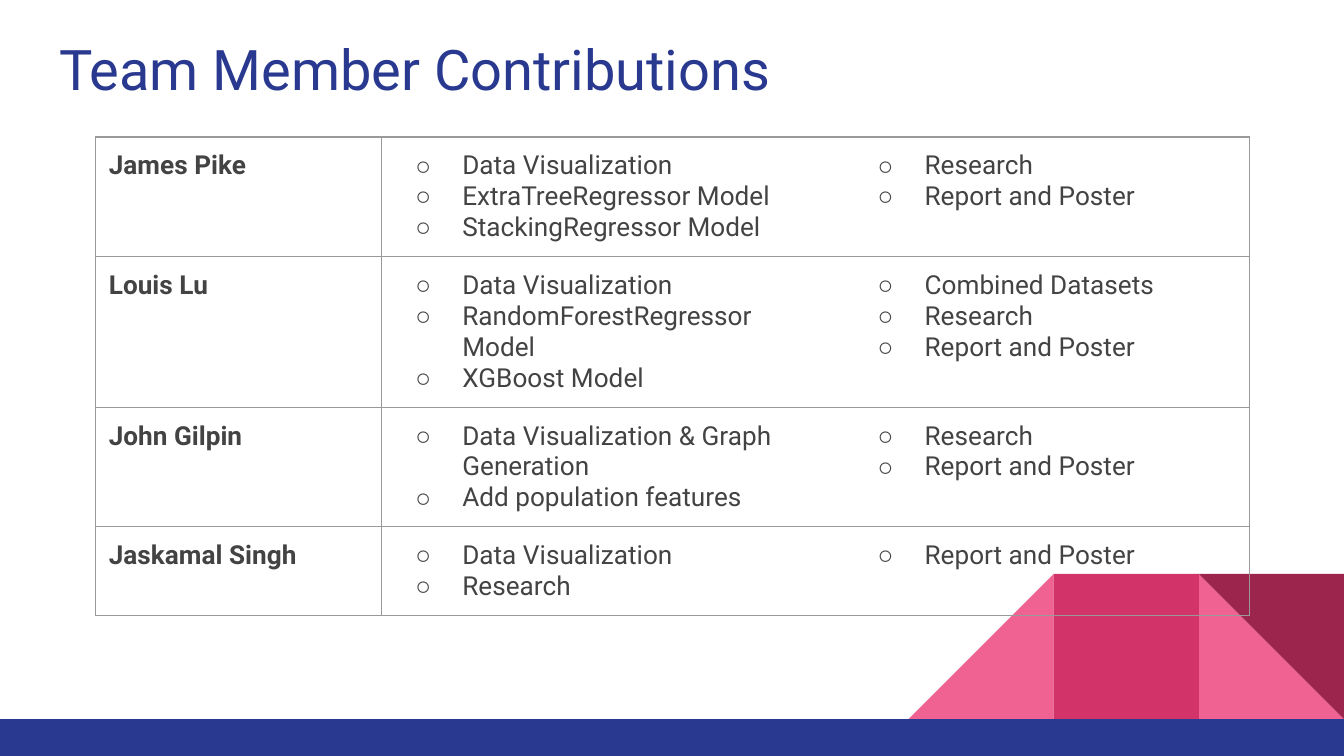
import lxml.etree
import pptx
import pptx.dml.color
import pptx.enum.shapes
import pptx.enum.text
import pptx.oxml
import pptx.oxml.ns
import pptx.util

Inches = pptx.util.Inches
SHAPES = pptx.enum.shapes.MSO_SHAPE
FONT, BULLET_FONT = "Roboto", "Arial"
NAVY, TEXT, BORDER = "2A3990", "434343", "999999"

TITLE_FORMAT = {"name": FONT, "size": pptx.util.Pt(30), "bold": False}
CELL_FORMAT = {"name": FONT, "size": pptx.util.Pt(14), "bold": False}
NAME_FORMAT = {**CELL_FORMAT, "bold": True}
INSETS = {f"margin_{side}": Inches(0.1) for side in ("left", "right", "top", "bottom")}

COLUMN_WIDTHS = [2.13, 3.44, 3.02]
# Minimum row height (rows grow with their text), member, modelling work, shared work
MEMBERS = [
    (0.42, "James Pike",
     ["Data Visualization", "ExtraTreeRegressor Model", "StackingRegressor Model"],
     ["Research", "Report and Poster"]),
    (0.78, "Louis Lu",
     ["Data Visualization", "RandomForestRegressor Model", "XGBoost Model"],
     ["Combined Datasets", "Research", "Report and Poster"]),
    (0.42, "John Gilpin",
     ["Data Visualization & Graph Generation", "Add population features"],
     ["Research", "Report and Poster"]),
    (0.42, "Jaskamal Singh",
     ["Data Visualization", "Research"],
     ["Report and Poster"]),
]
# Borders drawn on each column; the two list columns share no line
COLUMN_BORDERS = ["LRTB", "LTB", "RTB"]


def color(value):
    return pptx.dml.color.RGBColor.from_string(value)


def set_attributes(target, values):
    for name, value in values.items():
        setattr(target, name, value)


def add_run(paragraph, text, values, text_color):
    run = paragraph.add_run()
    run.text = text
    set_attributes(run.font, values)
    run.font.color.rgb = color(text_color)


def add_block(slide, kind, left, top, width, height, fill, rotation=0):
    shape = slide.shapes.add_shape(
        kind, Inches(left), Inches(top), Inches(width), Inches(height))
    shape.rotation = rotation
    shape.shadow.inherit = False
    shape.fill.solid()
    shape.fill.fore_color.rgb = color(fill)
    shape.line.fill.background()


def add_decoration(slide):
    side, top = 1.08, 4.27
    triangle, rectangle = SHAPES.RIGHT_TRIANGLE, SHAPES.RECTANGLE
    for kind, left, fill, rotation in [
        (triangle, 8.92, "F06292", 0),
        (triangle, 6.76, "F06292", 270),
        (rectangle, 7.84, "D23369", 0),
        (triangle, 8.92, "9C254D", 180),
    ]:
        add_block(slide, kind, left, top, side, side, fill, rotation)
    add_block(slide, rectangle, 0, 5.35, 10, 0.28, NAVY)


def add_title(slide, text):
    title = slide.shapes.title
    set_attributes(title, {"left": Inches(0.34), "top": Inches(0.16),
                           "width": Inches(9.32), "height": Inches(0.66)})
    frame = title.text_frame
    set_attributes(frame, {**INSETS, "word_wrap": True,
                           "auto_size": pptx.enum.text.MSO_AUTO_SIZE.NONE,
                           "vertical_anchor": pptx.enum.text.MSO_ANCHOR.TOP})
    frame.paragraphs[0].alignment = pptx.enum.text.PP_ALIGN.LEFT
    add_run(frame.paragraphs[0], text, TITLE_FORMAT, NAVY)


def set_bullet(paragraph):
    properties = paragraph._p.get_or_add_pPr()
    properties.set("marL", str(Inches(0.5)))
    properties.set("indent", str(Inches(-0.35)))
    qn = pptx.oxml.ns.qn
    bullet_color = lxml.etree.SubElement(properties, qn("a:buClr"))
    lxml.etree.SubElement(bullet_color, qn("a:srgbClr"), val=TEXT)
    lxml.etree.SubElement(properties, qn("a:buFont"), typeface=BULLET_FONT)
    lxml.etree.SubElement(properties, qn("a:buChar"), char="○")


def set_borders(cell, visible):
    properties = cell._tc.get_or_add_tcPr()
    for position, side in enumerate("LRTB"):
        fill = "<a:noFill/>"
        if side in visible:
            fill = f'<a:solidFill><a:srgbClr val="{BORDER}"/></a:solidFill>'
        line = pptx.oxml.parse_xml(
            f'<a:ln{side} {pptx.oxml.ns.nsdecls("a")} w="{pptx.util.Pt(0.75)}">'
            f"{fill}</a:ln{side}>")
        properties.insert(position, line)


def fill_cell(cell, lines, values, bulleted, borders):
    set_attributes(cell, INSETS)
    cell.fill.background()
    set_borders(cell, borders)
    frame = cell.text_frame
    for index, text in enumerate(lines):
        paragraph = frame.add_paragraph() if index else frame.paragraphs[0]
        if bulleted:
            set_bullet(paragraph)
        add_run(paragraph, text, values, TEXT)


def add_member_table(slide):
    height = sum(member[0] for member in MEMBERS)
    table = slide.shapes.add_table(
        len(MEMBERS), len(COLUMN_WIDTHS), Inches(0.71), Inches(1.02),
        Inches(sum(COLUMN_WIDTHS)), Inches(height)).table
    set_attributes(table, {"first_row": False, "horz_banding": False})
    for column, width in zip(table.columns, COLUMN_WIDTHS):
        column.width = Inches(width)
    for row, (row_height, name, *lists) in zip(table.rows, MEMBERS):
        row.height = Inches(row_height)
        for index, lines in enumerate([[name], *lists]):
            values = CELL_FORMAT if index else NAME_FORMAT
            fill_cell(row.cells[index], lines, values, index > 0, COLUMN_BORDERS[index])


def main():
    presentation = pptx.Presentation()
    # Widescreen 16:9
    presentation.slide_width = Inches(10)
    presentation.slide_height = Inches(10) * 9 // 16
    slide = presentation.slides.add_slide(presentation.slide_layouts[5])
    add_decoration(slide)
    add_title(slide, "Team Member Contributions")
    add_member_table(slide)
    presentation.save("out.pptx")


if __name__ == "__main__":
    main()
